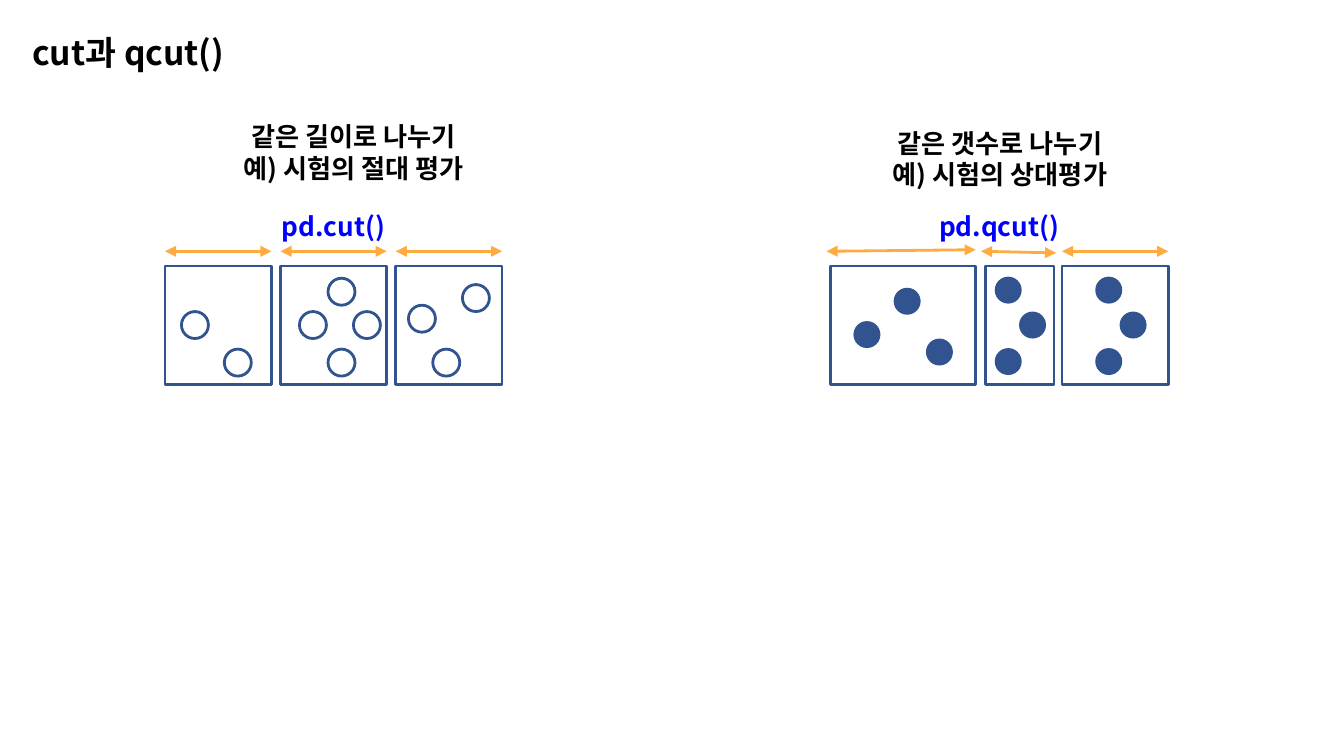
from lxml.etree import SubElement
from pptx import Presentation
from pptx.dml.color import RGBColor
from pptx.enum.shapes import MSO_CONNECTOR, MSO_SHAPE
from pptx.enum.text import MSO_ANCHOR, MSO_AUTO_SIZE, PP_ALIGN
from pptx.oxml.ns import qn
from pptx.util import Cm, Pt

BLACK = RGBColor(0x00, 0x00, 0x00)
CODE_BLUE = RGBColor(0x00, 0x00, 0xFF)
NAVY = RGBColor(0x31, 0x53, 0x8F)
ORANGE = RGBColor(0xFF, 0xAB, 0x40)


class SlideBuilder:
    font_name = "Noto Sans CJK KR"
    line_width = Pt(1.5)
    inset = Cm(0.25)
    bin_top, bin_height = 5.03, 2.24
    dot_size = 0.51

    def __init__(self, slide):
        self.slide = slide

    def fill_text(self, frame, lines, size, color, align):
        frame.margin_left = frame.margin_right = self.inset
        frame.margin_top = frame.margin_bottom = self.inset
        frame.word_wrap = True
        for index, line in enumerate(lines):
            paragraph = frame.add_paragraph() if index else frame.paragraphs[0]
            paragraph.alignment = align
            paragraph.line_spacing = Pt(size * 1.2)
            run = paragraph.add_run()
            run.text = line
            run.font.size = Pt(size)
            run.font.bold = True
            run.font.color.rgb = color
            run.font.name = self.font_name
            # Korean letters take the East Asian font
            SubElement(run.font._element, qn("a:ea"), typeface=self.font_name)

    def title(self, text, left, top, width, height):
        title = self.slide.shapes.title
        title.left, title.top = Cm(left), Cm(top)
        title.width, title.height = Cm(width), Cm(height)
        title.text_frame.vertical_anchor = MSO_ANCHOR.MIDDLE
        self.fill_text(title.text_frame, [text], 18, BLACK, PP_ALIGN.LEFT)

    def label(self, lines, left, top, width, height, color=BLACK):
        label = self.slide.shapes.add_textbox(
            Cm(left), Cm(top), Cm(width), Cm(height))
        self.fill_text(label.text_frame, lines, 14, color, PP_ALIGN.CENTER)
        label.text_frame.auto_size = MSO_AUTO_SIZE.SHAPE_TO_FIT_TEXT

    def outline(self, group, preset, left, top, width, height):
        shape = group.shapes.add_shape(
            preset, Cm(left), Cm(top), Cm(width), Cm(height))
        shape.shadow.inherit = False
        shape.fill.background()
        shape.line.color.rgb = NAVY
        shape.line.width = self.line_width
        return shape

    def bins(self, spans, dots, filled):
        group = self.slide.shapes.add_group_shape()
        for left, width in spans:
            self.outline(group, MSO_SHAPE.RECTANGLE,
                         left, self.bin_top, width, self.bin_height)
        for left, top in dots:
            dot = self.outline(group, MSO_SHAPE.OVAL,
                               left, top, self.dot_size, self.dot_size)
            if filled:
                dot.fill.solid()
                dot.fill.fore_color.rgb = NAVY
                dot.line.fill.background()

    def double_arrow(self, x1, y1, x2, y2):
        arrow = self.slide.shapes.add_connector(
            MSO_CONNECTOR.STRAIGHT, Cm(x1), Cm(y1), Cm(x2), Cm(y2))
        arrow.line.color.rgb = ORANGE
        arrow.line.width = self.line_width
        line = arrow.line._get_or_add_ln()
        for end in ("a:headEnd", "a:tailEnd"):
            SubElement(line, qn(end), type="triangle")
        SubElement(arrow._element.spPr, qn("a:effectLst"))


def main():
    presentation = Presentation()
    presentation.slide_width, presentation.slide_height = Cm(25.4), Cm(14.29)
    builder = SlideBuilder(
        presentation.slides.add_slide(presentation.slide_layouts[5]))

    builder.title("cut과 qcut()", 0.36, 0.18, 24.82, 1.6)

    # Equal-length bins
    cut_spans = [(3.12 + 2.18 * i, 2.01) for i in range(3)]
    cut_dots = [(3.43, 5.89), (4.24, 6.6),
                (5.66, 5.89), (6.2, 5.26), (6.68, 5.89), (6.2, 6.6),
                (8.74, 5.38), (7.72, 5.77), (8.18, 6.6)]
    builder.bins(cut_spans, cut_dots, filled=False)
    builder.label(["pd.cut()"], 5.05, 3.73, 2.51, 1.12, CODE_BLUE)
    builder.label(["pd.qcut()"], 17.45, 3.73, 2.87, 1.12, CODE_BLUE)

    # Bin lengths
    arrow_y = 4.75
    for left, width in cut_spans:
        builder.double_arrow(left, arrow_y, left + width, arrow_y)
    for left, right, rise in [(15.62, 18.44, -0.03), (18.54, 19.96, 0.03),
                              (20.07, 22.08, 0)]:
        builder.double_arrow(left, arrow_y, right, arrow_y + rise)

    # Equal-count bins: the last two hold the same pattern of dots
    qcut_spans = [(15.7, 2.74), (18.62, 1.3), (20.07, 2.01)]
    qcut_dots = [(17.5, 6.4), (16.89, 5.44), (16.13, 6.07)]
    for left in (18.8, 20.7):
        qcut_dots += [(left, 5.23), (left + 0.46, 5.89), (left, 6.58)]
    builder.bins(qcut_spans, qcut_dots, filled=True)

    # Explanations
    builder.label(["같은 길이로 나누기", "예) 시험의 절대 평가"],
                  2.64, 2.03, 8.08, 1.7)
    builder.label(["같은 갯수로 나누기", "예) 시험의 상대평가"],
                  14.86, 2.16, 8.08, 1.7)

    presentation.save("out.pptx")


if __name__ == "__main__":
    main()
